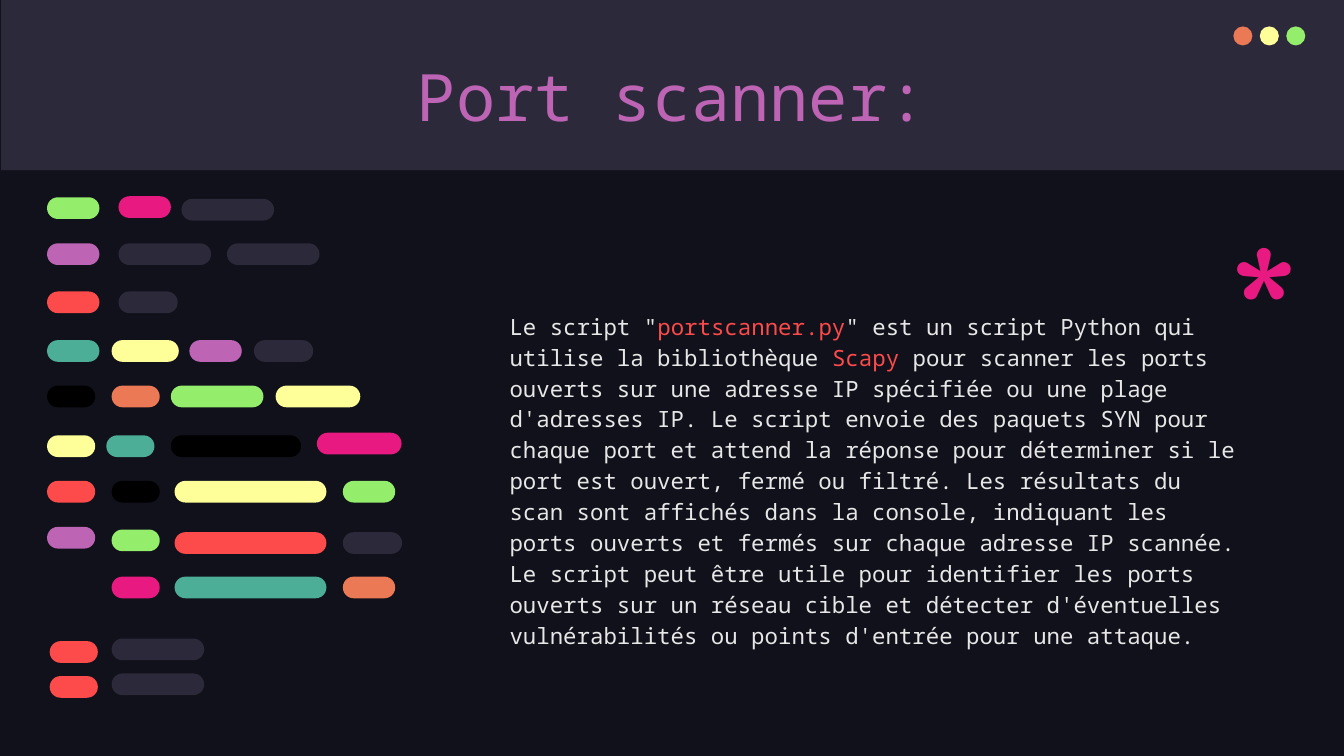
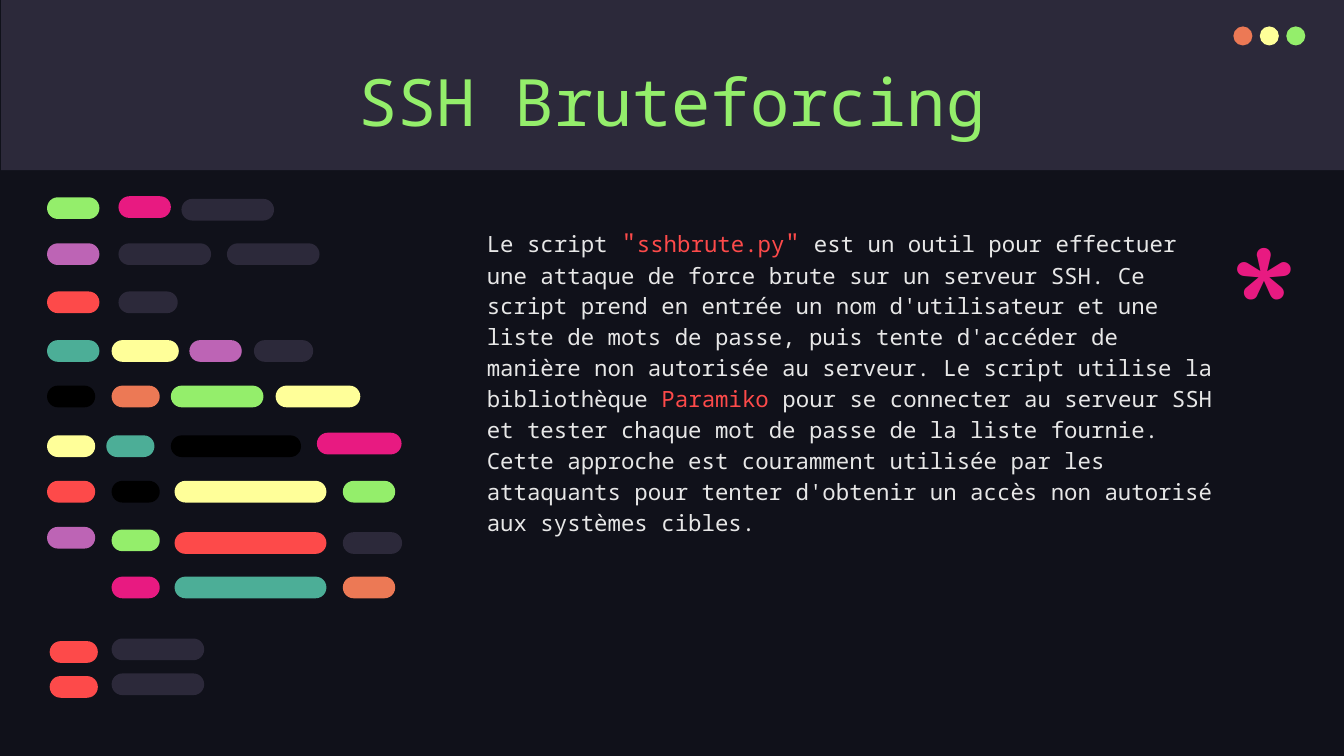
from pptx import Presentation
from pptx import util as u
from pptx.dml.color import RGBColor
from pptx.enum import shapes, text

MONO, ROUNDED = "Noto Sans Mono", "Comfortaa"
NIGHT, SLATE, BLACK, PALE = "10111A", "2C293A", "000000", "E7E7E7"
ORANGE, YELLOW, GREEN, TEAL = "EC7955", "FFFF99", "94EE6B", "4CAE97"
PINK, PURPLE, RED = "E81A81", "BD64B5", "FD4A4A"

DOT_SIZE, PILL_HEIGHT = 0.36, 0.41

# Lines of make-believe code: (left, top, width, colour) in centimetres
CODE_LINES = [
    [(0.89, 3.73, 0.99, GREEN), (2.24, 3.71, 0.99, PINK), (3.43, 3.76, 1.75, SLATE)],
    [(0.89, 4.6, 0.99, PURPLE), (2.24, 4.6, 1.75, SLATE), (4.29, 4.6, 1.75, SLATE)],
    [(0.89, 5.51, 0.99, RED), (2.24, 5.51, 1.12, SLATE)],
    [(0.89, 6.43, 0.99, TEAL), (2.11, 6.43, 1.27, YELLOW),
     (3.58, 6.43, 0.99, PURPLE), (4.8, 6.43, 1.12, SLATE)],
    [(0.89, 7.29, 0.91, BLACK), (2.11, 7.29, 0.91, ORANGE),
     (3.23, 7.29, 1.75, GREEN), (5.21, 7.29, 1.6, YELLOW)],
    [(0.89, 8.23, 0.91, YELLOW), (2.01, 8.23, 0.91, TEAL),
     (3.23, 8.23, 2.46, BLACK), (5.99, 8.18, 1.6, PINK)],
    [(0.89, 9.09, 0.91, RED), (2.11, 9.09, 0.91, BLACK),
     (3.3, 9.09, 2.87, YELLOW), (6.48, 9.09, 0.99, GREEN)],
    [(0.89, 9.96, 0.91, PURPLE), (2.11, 10.01, 0.91, GREEN),
     (3.3, 10.06, 2.87, RED), (6.48, 10.06, 1.12, SLATE)],
    [(2.11, 10.9, 0.91, PINK), (3.3, 10.9, 2.87, TEAL), (6.48, 10.9, 0.99, ORANGE)],
    [(0.94, 12.12, 0.91, RED), (2.11, 12.07, 1.75, SLATE)],
    [(0.94, 12.78, 0.91, RED), (2.11, 12.73, 1.75, SLATE)],
]

PORT_SCANNER = [
    ("Le script \"", PALE, 12),
    ("portscanner.py", RED, 12),
    ("\" est un script Python qui utilise la bibliothèque ", PALE, 12),
    ("Scapy", RED, 12),
    (" pour scanner les ports ouverts sur une adresse IP spécifiée ou une plage "
     "d'adresses IP. Le script envoie des paquets SYN pour chaque port et attend la "
     "réponse pour déterminer si le port est ouvert, fermé ou filtré. Les résultats "
     "du scan sont affichés dans la console, indiquant les ports ouverts et fermés "
     "sur chaque adresse IP scannée. Le script peut être utile pour identifier les "
     "ports ouverts sur un réseau cible et détecter d'éventuelles vulnérabilités ou "
     "points d'entrée pour une attaque.", PALE, 12),
]

SSH_BRUTE = [
    ("Le script ", PALE, 12),
    ("\"", RED, 14),
    ("sshbrute.py", RED, 12),
    ("\"", RED, 14),
    (" est un outil pour effectuer une attaque de force brute sur un serveur SSH. Ce "
     "script prend en entrée un nom d'utilisateur et une liste de mots de passe, puis "
     "tente d'accéder de manière non autorisée au serveur. Le script utilise la "
     "bibliothèque ", PALE, 12),
    ("Paramiko", RED, 12),
    (" pour se connecter au serveur SSH et tester chaque mot de passe de la liste "
     "fournie. Cette approche est couramment utilisée par les attaquants pour tenter "
     "d'obtenir un accès non autorisé aux systèmes cibles.", PALE, 12),
]


def paint(fill, colour):
    fill.solid()
    fill.fore_color.rgb = RGBColor.from_string(colour)


class Page:
    """One dark slide with the header band, window dots and code pills."""

    def __init__(self, deck):
        self.slide = deck.slides.add_slide(deck.slide_layouts[6])
        paint(self.slide.background.fill, NIGHT)

    def shape(self, kind, left, top, width, height, colour, group=None):
        parent = group or self.slide
        shape = parent.shapes.add_shape(
            kind, u.Cm(left), u.Cm(top), u.Cm(width), u.Cm(height))
        shape.shadow.inherit = False
        paint(shape.fill, colour)
        shape.line.fill.background()
        return shape

    def add_text(self, spans, left, top, width, height, font=MONO,
                 align=text.PP_ALIGN.LEFT, spacing=1.0, side=0.25, inset=0.25):
        """Add one paragraph of (text, colour, size) spans; inset is the top margin."""
        box = self.slide.shapes.add_textbox(
            u.Cm(left), u.Cm(top), u.Cm(width), u.Cm(height))
        frame = box.text_frame
        frame.word_wrap = True
        frame.vertical_anchor = text.MSO_ANCHOR.TOP
        frame.margin_left = frame.margin_right = u.Cm(side)
        frame.margin_top, frame.margin_bottom = u.Cm(inset), u.Cm(0.25)
        para = frame.paragraphs[0]
        para.alignment = align
        para.line_spacing = spacing
        for words, colour, size in spans:
            span = para.add_run()
            span.text = words
            span.font.name = font
            span.font.size = u.Pt(size)
            span.font.color.rgb = RGBColor.from_string(colour)

    def header(self):
        self.shape(shapes.MSO_SHAPE.RECTANGLE, 0.02, 0, 25.4, 3.22, SLATE)
        dots = self.slide.shapes.add_group_shape()
        for index, colour in enumerate((ORANGE, YELLOW, GREEN)):
            self.shape(shapes.MSO_SHAPE.OVAL, 23.31 + 0.5 * index, 0.5,
                       DOT_SIZE, DOT_SIZE, colour, dots)

    def title(self, words, colour, top):
        self.add_text([(words, colour, 35)], 2, top, 21.4, 1.6,
                      align=text.PP_ALIGN.CENTER)

    def body(self, spans, left, top, inset):
        self.add_text(spans, left, top, 13.8, 8.53, spacing=1.15, side=0, inset=inset)

    def code_pills(self):
        pills = self.slide.shapes.add_group_shape()
        for line in CODE_LINES:
            for left, top, width, colour in line:
                pill = self.shape(shapes.MSO_SHAPE.ROUNDED_RECTANGLE, left, top,
                                  width, PILL_HEIGHT, colour, pills)
                pill.adjustments[0] = 0.5

    def asterisk(self):
        self.add_text([("*", PINK, 96)], 22.98, 3.71, 1.45, 2.2, font=ROUNDED)


def add_script_page(deck, title, colour, title_top, spans, left, top, inset=0.25):
    page = Page(deck)
    page.header()
    page.title(title, colour, title_top)
    page.body(spans, left, top, inset)
    page.code_pills()
    page.asterisk()


def main():
    deck = Presentation()
    deck.slide_width, deck.slide_height = u.Cm(25.4), u.Cm(14.29)
    add_script_page(deck, "Port scanner:", PURPLE, 0.81,
                    PORT_SCANNER, 9.63, 4.24, inset=1.6)
    add_script_page(deck, "SSH Bruteforcing", GREEN, 0.91, SSH_BRUTE, 9.2, 3.94)
    deck.save("out.pptx")


if __name__ == "__main__":
    main()
